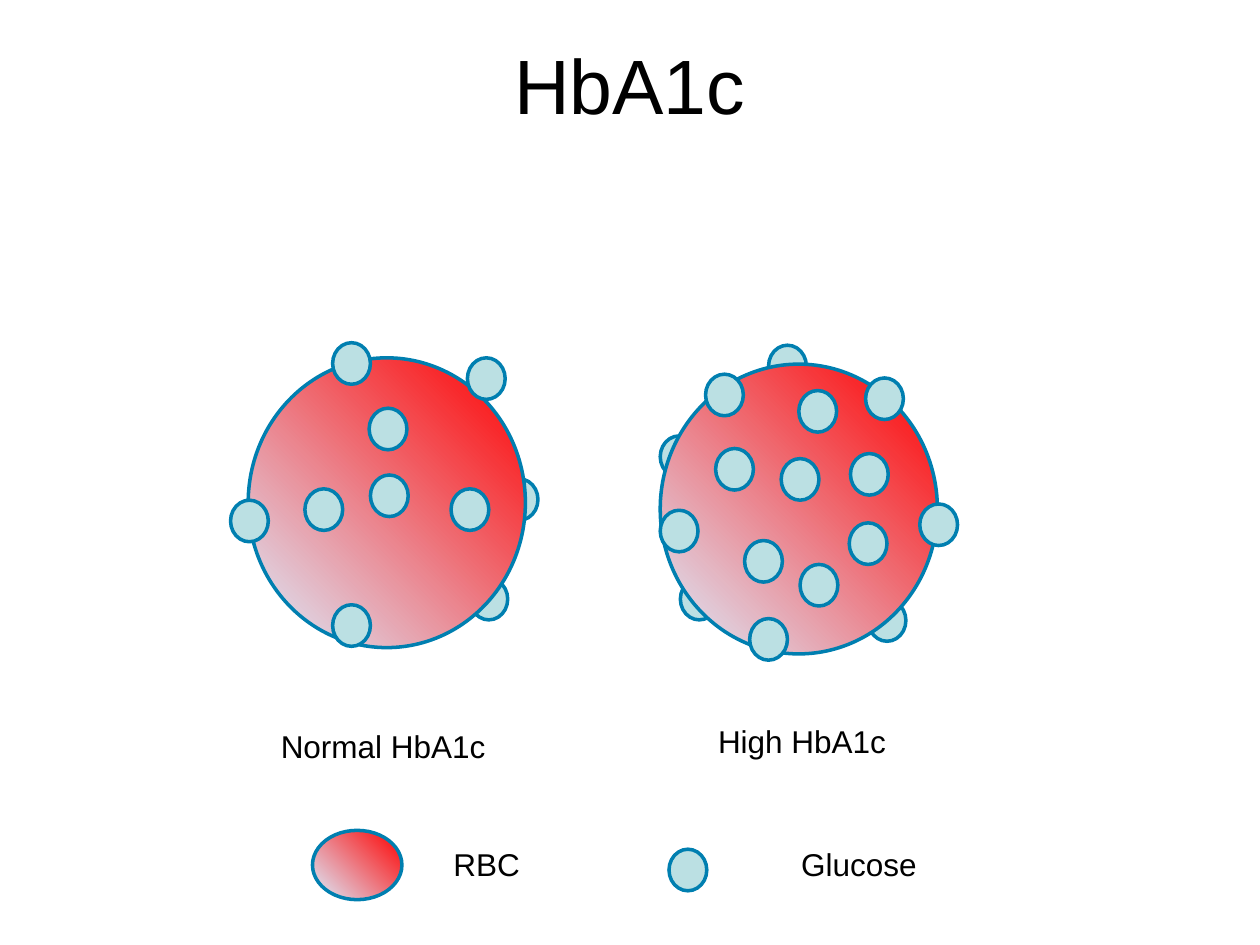
from pptx import Presentation
from pptx.dml.color import RGBColor
from pptx.enum import shapes, text
from pptx.util import Inches, Pt

COLORS = {"ink": "000000", "outline": "007FB0", "glucose": "BBE0E3",
          "cell_red": "FF0000", "cell_pale": "DBEFFF"}
FONT = "Arial"
GLUCOSE_SIZE = (0.3, 0.33)

# Glucose positions are offsets in inches from the top left of their cell.
NORMAL_BEHIND = [(2, 0.96), (1.76, 1.75)]
NORMAL_FRONT = [(1.74, 0), (1.61, 1.04), (-0.14, 1.13), (0.67, -0.12),
                (0.97, 0.93), (0.96, 0.4), (0.67, 1.96), (0.45, 1.04)]
HIGH_BEHIND = [(0, 0.57), (0.16, 1.7), (1.65, 1.87), (0.86, -0.15)]
HIGH_FRONT = [(0.36, 0.08), (2.06, 1.11), (1.11, 1.59), (0.71, 2.02),
              (1.5, 1.26), (0.44, 0.67), (0.96, 0.75), (1.63, 0.11),
              (1.51, 0.71), (0.67, 1.4), (0, 1.16), (1.1, 0.21)]


def color(name):
    return RGBColor.from_string(COLORS[name])


def style_text(frame, content, size):
    frame.text = content
    font = frame.paragraphs[0].runs[0].font
    font.name, font.size = FONT, Pt(size)
    font.color.rgb = color("ink")


def add_title(slide, left, top, width, height):
    title = slide.shapes.title
    title.left, title.top = Inches(left), Inches(top)
    title.width, title.height = Inches(width), Inches(height)
    frame = title.text_frame
    frame.margin_left = frame.margin_right = 0
    frame.margin_top = frame.margin_bottom = 0
    frame.auto_size = text.MSO_AUTO_SIZE.NONE
    frame.vertical_anchor = text.MSO_ANCHOR.TOP
    style_text(frame, "HbA1c", 44)
    frame.paragraphs[0].alignment = text.PP_ALIGN.CENTER


def add_oval(slide, left, top, width, height):
    oval = slide.shapes.add_shape(
        shapes.MSO_SHAPE.OVAL,
        Inches(left), Inches(top), Inches(width), Inches(height))
    oval.shadow.inherit = False
    oval.line.color.rgb = color("outline")
    oval.line.width = Pt(2)
    return oval


def add_glucose(slide, left, top):
    glucose = add_oval(slide, left, top, *GLUCOSE_SIZE)
    glucose.fill.solid()
    glucose.fill.fore_color.rgb = color("glucose")


def add_cell(slide, left, top, width, height):
    """Red blood cell, shaded from the top right to the bottom left."""
    fill = add_oval(slide, left, top, width, height).fill
    fill.gradient()
    fill.gradient_angle = 225
    for stop, name in zip(fill.gradient_stops, ("cell_red", "cell_pale")):
        stop.color.rgb = color(name)


def add_label(slide, left, top, width, content):
    label = slide.shapes.add_textbox(
        Inches(left), Inches(top), Inches(width), Inches(0.4))
    label.text_frame.word_wrap = True
    style_text(label.text_frame, content, 18)


def add_coated_cell(slide, left, top, behind, front):
    """Cell with glucose partly hidden behind it and glucose on top of it."""
    for dx, dy in behind:
        add_glucose(slide, left + dx, top + dy)
    add_cell(slide, left, top, 2.2, 2.3)
    for dx, dy in front:
        add_glucose(slide, left + dx, top + dy)


def add_legend(slide, left, top):
    add_cell(slide, left, top, 0.71, 0.55)
    add_label(slide, left + 1.02, top + 0.07, 1.18, "RBC")
    add_glucose(slide, left + 2.83, top + 0.15)
    add_label(slide, left + 3.78, top + 0.07, 1.89, "Glucose")


def main():
    deck = Presentation()
    deck.slide_width, deck.slide_height = Inches(10), Inches(7.5)
    slide = deck.slides.add_slide(deck.slide_layouts.get_by_name("Title Only"))
    add_title(slide, 0.5, 0.3, 9, 1.25)
    add_coated_cell(slide, 1.97, 2.84, NORMAL_BEHIND, NORMAL_FRONT)
    add_coated_cell(slide, 5.24, 2.89, HIGH_BEHIND, HIGH_FRONT)
    add_label(slide, 2.13, 5.72, 2.19, "Normal HbA1c")
    add_label(slide, 5.6, 5.68, 2.15, "High HbA1c")
    add_legend(slide, 2.48, 6.59)
    deck.save("out.pptx")


if __name__ == "__main__":
    main()
